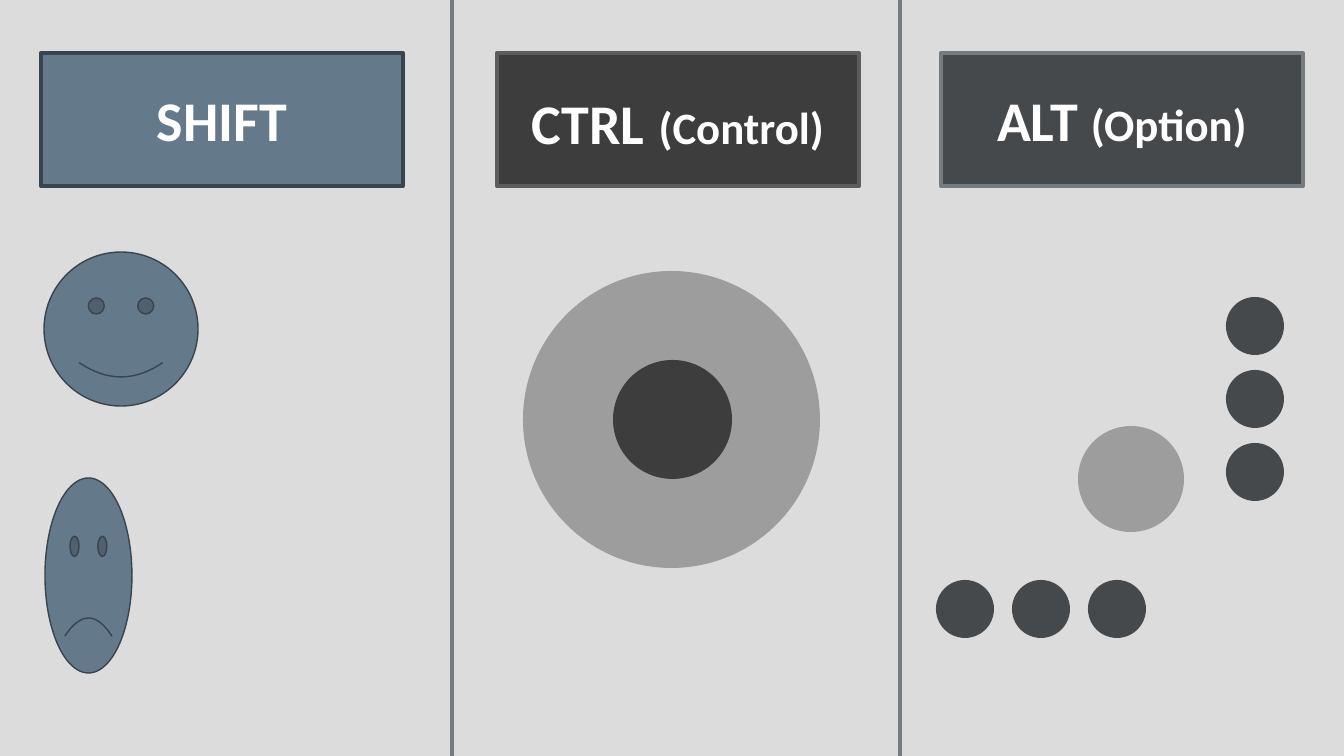
from lxml.etree import SubElement
from pptx import Presentation
from pptx.dml.color import RGBColor
from pptx.enum.shapes import MSO_CONNECTOR as Connector, MSO_SHAPE as Shape
from pptx.enum.text import MSO_ANCHOR as Anchor, PP_ALIGN as Align
from pptx.oxml.ns import qn
from pptx.util import Pt

PX = 914400 / 100.8
WIDTH, HEIGHT = 1344, 756

BACKGROUND = RGBColor(0xDC, 0xDC, 0xDD)
WHITE = RGBColor(0xFF, 0xFF, 0xFF)
BLUE = RGBColor(0x64, 0x79, 0x8A)
DARK_BLUE = RGBColor(0x38, 0x44, 0x4E)
CHARCOAL = RGBColor(0x3D, 0x3D, 0x3D)
CHARCOAL_EDGE = RGBColor(0x5C, 0x5C, 0x5C)
SLATE = RGBColor(0x46, 0x49, 0x4C)
SLATE_EDGE = RGBColor(0x76, 0x7B, 0x80)
GRAY = RGBColor(0x9D, 0x9D, 0x9D)


def px(length):
    return round(length * PX)


def add_text(paragraph, text, size=40, color=WHITE, bold=True, font="Calibri"):
    run = paragraph.add_run()
    run.text = text
    run.font.name = font
    run.font.size = Pt(size)
    run.font.bold = bold
    run.font.color.rgb = color


class SlideBuilder:
    def __init__(self, slide):
        self.slide = slide
        slide.background.fill.solid()
        slide.background.fill.fore_color.rgb = BACKGROUND

    def shape(self, kind, left, top, width, height, fill, edge=None, weight=1):
        shape = self.slide.shapes.add_shape(
            kind, px(left), px(top), px(width), px(height))
        shape.shadow.inherit = False
        shape.fill.solid()
        shape.fill.fore_color.rgb = fill
        if edge is None:
            shape.line.fill.background()
        else:
            shape.line.color.rgb = edge
            shape.line.width = Pt(weight)
        return shape

    def circle(self, left, top, diameter, fill):
        return self.shape(Shape.OVAL, left, top, diameter, diameter, fill)

    def face(self, left, top, width, height):
        return self.shape(Shape.SMILEY_FACE, left, top, width, height,
                          BLUE, DARK_BLUE)

    def heading(self, left, fill, edge, parts):
        shape = self.shape(Shape.RECTANGLE, left, 53, 362, 133, fill, edge, 3)
        frame = shape.text_frame
        frame.word_wrap = True
        frame.vertical_anchor = Anchor.MIDDLE
        paragraph = frame.paragraphs[0]
        paragraph.alignment = Align.CENTER
        for text, size in parts:
            add_text(paragraph, text, size=size)

    def divider(self, x):
        line = self.slide.shapes.add_connector(
            Connector.STRAIGHT, px(x), 0, px(x), px(HEIGHT))
        line.line.color.rgb = SLATE_EDGE
        line.line.width = Pt(2.25)
        SubElement(line._element.spPr, qn("a:effectLst"))


def main():
    presentation = Presentation()
    presentation.slide_width = px(WIDTH)
    presentation.slide_height = px(HEIGHT)
    builder = SlideBuilder(
        presentation.slides.add_slide(presentation.slide_layouts[6]))

    # Column headings and dividers
    builder.heading(41, BLUE, DARK_BLUE, [("SHIFT", 40)])
    builder.heading(497, CHARCOAL, CHARCOAL_EDGE,
                    [("CTRL", 40), (" ", 44), ("(Control)", 32)])
    builder.heading(941, SLATE, SLATE_EDGE, [("ALT ", 40), ("(Option)", 32)])
    for x in (452, 900):
        builder.divider(x)

    # Shift: regular and stretched faces
    builder.face(44, 252, 154, 154)
    sad_face = builder.face(45, 478, 87, 195)
    sad_face.adjustments[0] = -0.05

    # Control: concentric circles
    builder.circle(523, 271, 297, GRAY)
    builder.circle(613, 360, 119, CHARCOAL)

    # Alt: a column and a row of dots around a larger one
    for index in range(3):
        builder.circle(1226, 297 + 73 * index, 58, SLATE)
        builder.circle(936 + 76 * index, 580, 58, SLATE)
    builder.circle(1078, 426, 106, GRAY)

    presentation.save("out.pptx")


if __name__ == "__main__":
    main()
